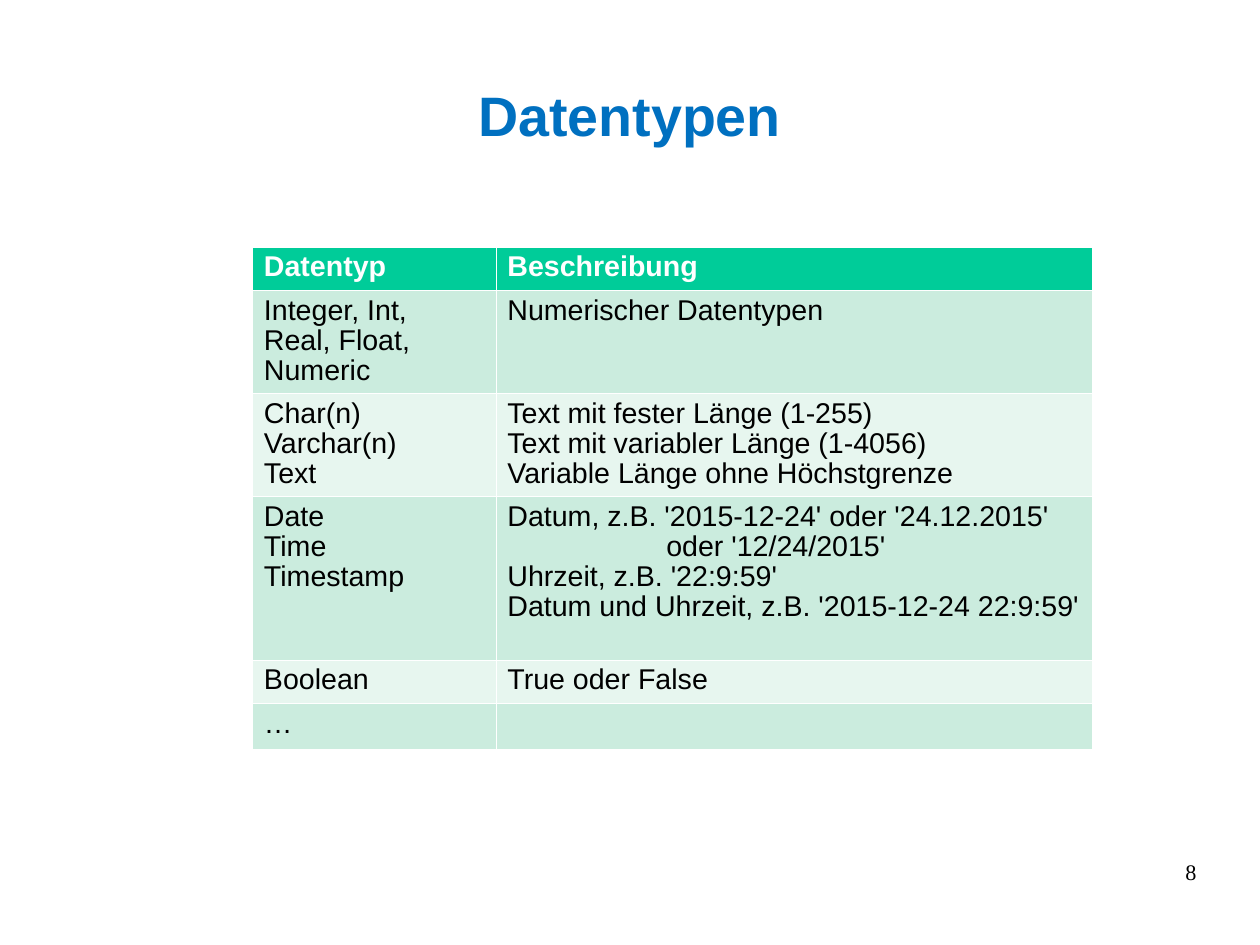
from lxml import etree
from pptx import Presentation, util as u
from pptx.dml.color import RGBColor
from pptx.enum import text
from pptx.oxml.ns import qn

SIZE = (10080625, 7559675)  # EMU, a page of 28 by 21 cm
TITLE = "Datentypen"
PAGE = "8"
ROWS = [
    ("Datentyp", "Beschreibung"),
    ("Integer, Int,\vReal, Float,\vNumeric", "Numerischer Datentypen"),
    ("Char(n)\nVarchar(n)\nText",
     "Text mit fester Länge (1-255)\nText mit variabler Länge (1-4056)\n"
     "Variable Länge ohne Höchstgrenze"),
    ("Date\vTime\nTimestamp",
     "Datum, z.B. '2015-12-24' oder '24.12.2015'\noder '12/24/2015'\n"
     "Uhrzeit, z.B. '22:9:59'\nDatum und Uhrzeit, z.B. '2015-12-24 22:9:59'"),
    ("Boolean", "True oder False"),
    ("…", ""),
]
WIDTHS = [2.13, 5.22]
HEIGHTS = [0.38, 0.9, 0.9, 1.43, 0.38, 0.4]
TIGHT = (1, 2)  # rows whose three lines just fit the height
INDENT = 1.39  # aligns the second date example under the first
HEX = {"title": "0070C0", "head": "00CC99", "odd": "CBECDE",
       "even": "E7F6EF", "ink": "000000", "white": "FFFFFF"}
THIN, THICK = 0.23, 0.74


def rgb(name):
    """Return the named colour."""
    return RGBColor.from_string(HEX[name])


def style(frame, size, color, bold=False, font="Arial", space=0.94, align=None):
    """Format all paragraphs and runs of a text frame."""
    for para in frame.paragraphs:
        para.line_spacing = space
        para.alignment = align
        for run in para.runs:
            run.font.name = font
            run.font.size = u.Pt(size)
            run.font.bold = bold
            run.font.color.rgb = rgb(color)


def label(slide, words, box, top, **look):
    """Add a text box with no side margins."""
    frame = slide.shapes.add_textbox(*map(u.Inches, box)).text_frame
    frame.word_wrap = True
    frame.margin_left = frame.margin_right = frame.margin_bottom = 0
    frame.margin_top = u.Inches(top)
    frame.text = words
    style(frame, **look)
    return frame


def border(cell, row):
    """Draw white cell edges, thicker below the header."""
    props = cell._tc.get_or_add_tcPr()
    edges = {"L": THIN, "R": THIN, "T": THICK if row == 1 else THIN,
             "B": THICK if row == 0 else THIN}
    for spot, (side, width) in enumerate(edges.items()):
        line = etree.Element(qn(f"a:ln{side}"), w=str(u.Pt(width)))
        fill = etree.SubElement(line, qn("a:solidFill"))
        etree.SubElement(fill, qn("a:srgbClr"), val=HEX["white"])
        props.insert(spot, line)


def grid(slide):
    """Add the table of data types."""
    box = map(u.Inches, (2.21, 2.16, sum(WIDTHS), sum(HEIGHTS)))
    table = slide.shapes.add_table(len(ROWS), len(WIDTHS), *box).table
    for col, width in zip(table.columns, WIDTHS):
        col.width = u.Inches(width)
    for r, (words, height) in enumerate(zip(ROWS, HEIGHTS)):
        table.rows[r].height = u.Inches(height)
        head = r == 0
        tint = "head" if head else "odd" if r % 2 else "even"
        for c, word in enumerate(words):
            cell = table.cell(r, c)
            cell.text_frame.text = word
            style(cell.text_frame, 18, "white" if head else "ink", head)
            cell.fill.solid()
            cell.fill.fore_color.rgb = rgb(tint)
            if r in TIGHT:
                cell.margin_bottom = 0
            border(cell, r)
    dates = table.cell(3, 1).text_frame.paragraphs
    dates[1]._p.get_or_add_pPr().set("marL", str(u.Inches(INDENT)))


deck = Presentation()
deck.slide_width, deck.slide_height = map(u.Emu, SIZE)
slide = deck.slides.add_slide(deck.slide_layouts[6])
label(slide, PAGE, (7.9, 7.53, 2.57, 0.57), 0, size=14, color="ink",
      font="Times New Roman", space=0.95, align=text.PP_ALIGN.RIGHT)
title = label(slide, TITLE, (0.55, 0.33, 9.92, 1.38), 0.03, size=35,
              color="title", bold=True, space=0.93, align=text.PP_ALIGN.CENTER)
title.vertical_anchor = text.MSO_ANCHOR.MIDDLE
grid(slide)
deck.save("out.pptx")
